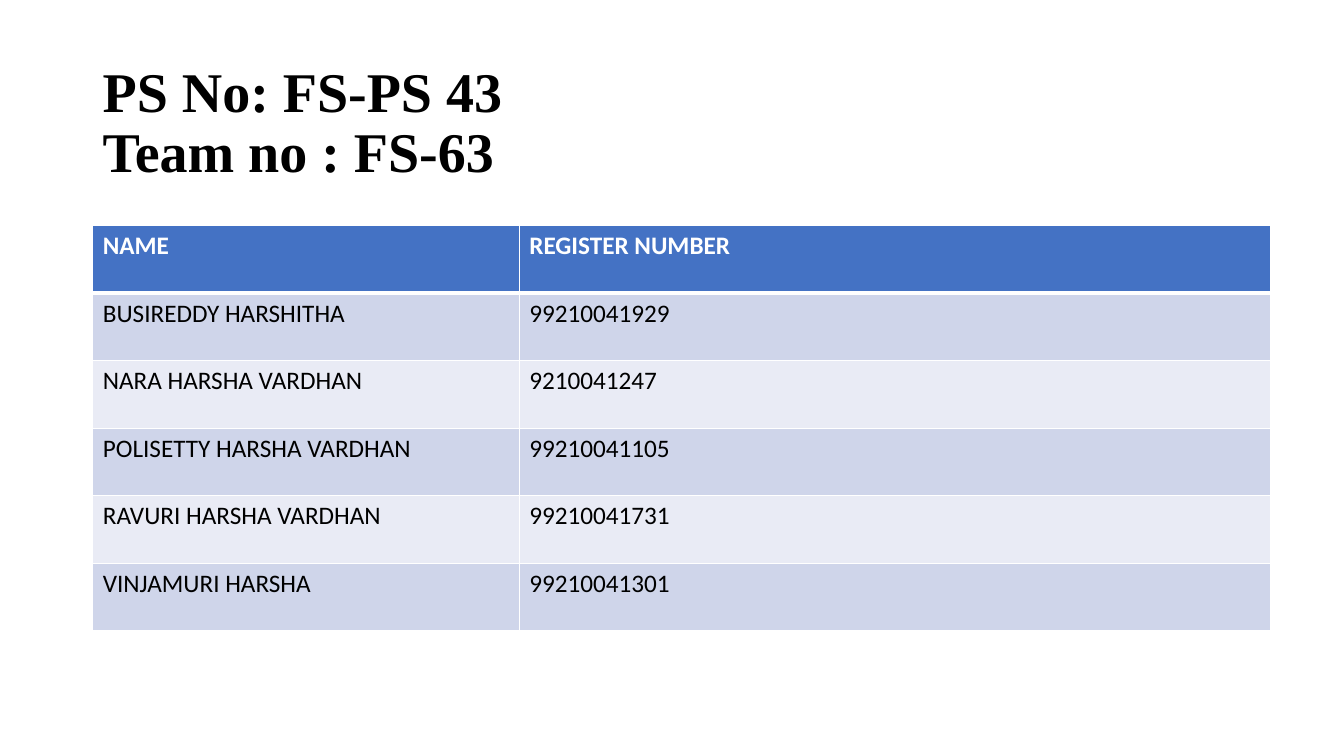
from dataclasses import dataclass
from typing import NamedTuple

from lxml import etree
from pptx import Presentation
from pptx.dml.color import RGBColor
from pptx.enum.text import MSO_ANCHOR
from pptx.oxml.ns import qn
from pptx.slide import Slide
from pptx.table import _Cell
from pptx.text.text import _Paragraph
from pptx.util import Emu, Pt

MIDDLE = MSO_ANCHOR.MIDDLE
EMU_PER_PX = 9144  # 100 px to the inch


@dataclass(frozen=True)
class Theme:
    heading_font: str = "Times New Roman"
    body_font: str = "Calibri"
    heading_size: int = 40
    body_size: int = 18
    black: str = "000000"
    white: str = "FFFFFF"
    header_fill: str = "4472C4"
    bands: tuple[str, str] = ("CFD5EA", "E9EBF5")
    thin_rule: int = 1
    thick_rule: int = 3


class Box(NamedTuple):
    left: int
    top: int
    width: int
    height: int


class Member(NamedTuple):
    name: str
    register_number: str


THEME = Theme()
SLIDE_WIDTH, SLIDE_HEIGHT = 1333, 750
HEADING_BOX = Box(92, 51, 1150, 145)
ROSTER_BOX = Box(92, 224, 1168, 402)
COLUMN_WIDTHS = (423, 745)
HEADING = "PS No: FS-PS 43\vTeam no : FS-63"
HEADER = Member("NAME", "REGISTER NUMBER")
MEMBERS = (
    Member("BUSIREDDY HARSHITHA", "99210041929"),
    Member("NARA HARSHA VARDHAN", "9210041247"),
    Member("POLISETTY HARSHA VARDHAN", "99210041105"),
    Member("RAVURI HARSHA VARDHAN", "99210041731"),
    Member("VINJAMURI HARSHA", "99210041301"),
)


def px(length: int) -> Emu:
    return Emu(length * EMU_PER_PX)


def style_text(paragraph: _Paragraph, font: str, size: int, color: str, bold: bool) -> None:
    paragraph.font.name = font
    paragraph.font.size = Pt(size)
    paragraph.font.bold = bold
    paragraph.font.color.rgb = RGBColor.from_string(color)


def add_border(cell: _Cell, side: str, width: int) -> None:
    properties = cell._tc.get_or_add_tcPr()
    line = etree.SubElement(properties, qn(f"a:ln{side}"), w=str(Pt(width)))
    fill = etree.SubElement(line, qn("a:solidFill"))
    etree.SubElement(fill, qn("a:srgbClr"), val=THEME.white)


def fill_cell(cell: _Cell, text: str, row: int) -> None:
    is_header = row == 0
    # Borders come before the fill in the cell properties
    thick_sides = {0: "B", 1: "T"}
    for side in "LRTB":
        is_thick = thick_sides.get(row) == side
        add_border(cell, side, THEME.thick_rule if is_thick else THEME.thin_rule)
    cell.fill.solid()
    background = THEME.header_fill if is_header else THEME.bands[(row - 1) % 2]
    cell.fill.fore_color.rgb = RGBColor.from_string(background)
    cell.text = text
    color = THEME.white if is_header else THEME.black
    style_text(cell.text_frame.paragraphs[0], THEME.body_font, THEME.body_size, color, is_header)


def add_heading(slide: Slide) -> None:
    frame = slide.shapes.add_textbox(*map(px, HEADING_BOX)).text_frame
    frame.word_wrap = True
    frame.vertical_anchor = MIDDLE
    heading = frame.paragraphs[0]
    heading.text = HEADING
    heading.line_spacing = 0.9
    style_text(heading, THEME.heading_font, THEME.heading_size, THEME.black, True)


def add_roster(slide: Slide) -> None:
    rows = (HEADER, *MEMBERS)
    roster = slide.shapes.add_table(len(rows), len(COLUMN_WIDTHS), *map(px, ROSTER_BOX)).table
    for column, width in zip(roster.columns, COLUMN_WIDTHS):
        column.width = px(width)
    for row, member in enumerate(rows):
        for column, text in enumerate(member):
            fill_cell(roster.cell(row, column), text, row)


def main() -> None:
    presentation = Presentation()
    presentation.slide_width = px(SLIDE_WIDTH)
    presentation.slide_height = px(SLIDE_HEIGHT)
    slide = presentation.slides.add_slide(presentation.slide_layouts[6])
    # Problem statement and team number
    add_heading(slide)
    # Team members
    add_roster(slide)
    presentation.save("out.pptx")


if __name__ == "__main__":
    main()
